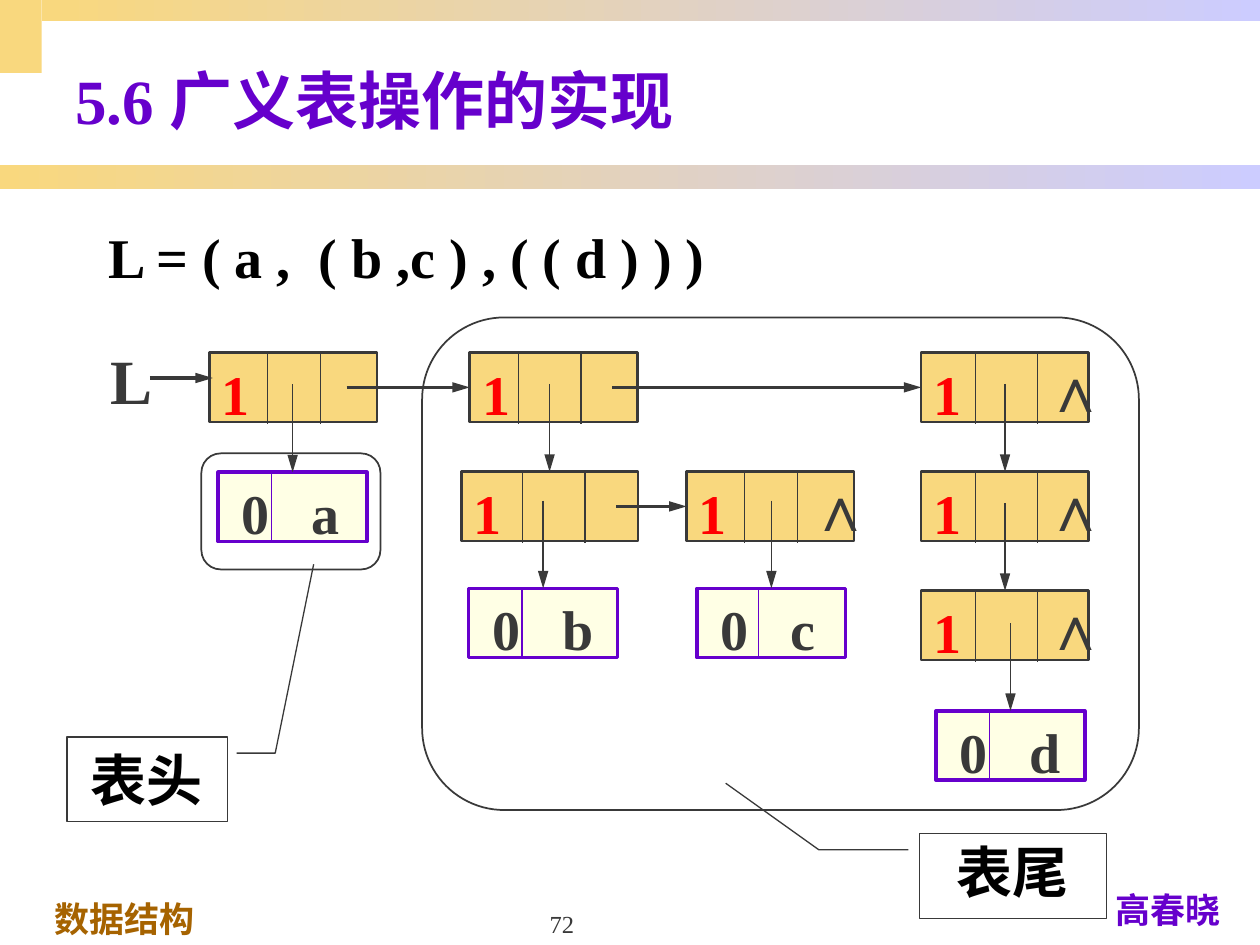
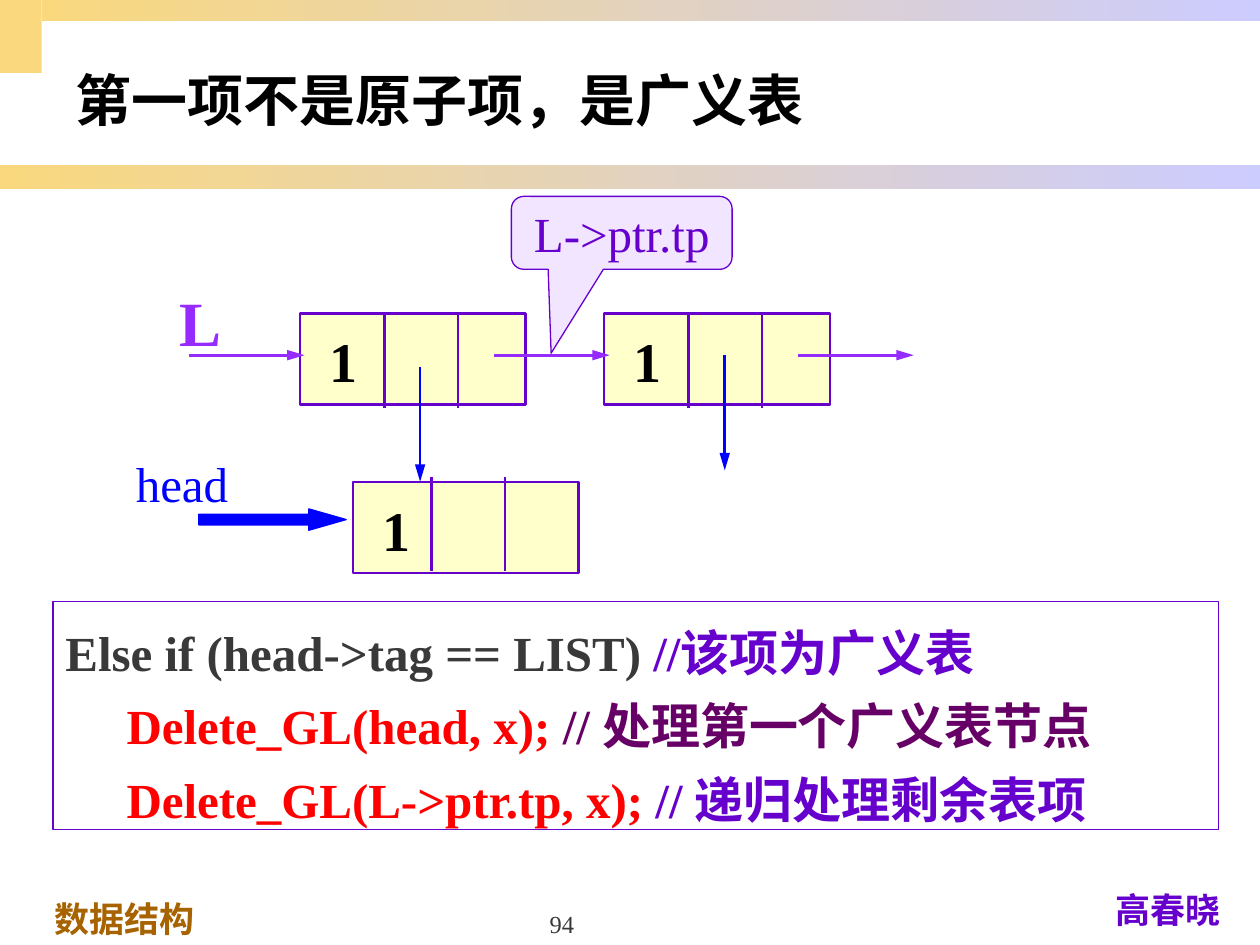
from lxml.etree import SubElement
from pptx import Presentation
from pptx.dml.color import RGBColor
from pptx.enum.shapes import MSO_CONNECTOR, MSO_SHAPE
from pptx.enum.text import MSO_ANCHOR, MSO_AUTO_SIZE, PP_ALIGN
from pptx.oxml.ns import qn
from pptx.util import Cm, Pt

FONT = "Times New Roman"
GOLD = RGBColor(0xF9, 0xD8, 0x7E)
LAVENDER = RGBColor(0xCC, 0xCC, 0xFF)
LILAC = RGBColor(0xE6, 0xCD, 0xFF)
CREAM = RGBColor(0xFF, 0xFF, 0xCC)
BROWN = RGBColor(0xA6, 0x63, 0x00)
PURPLE = RGBColor(0x66, 0x00, 0xCC)
VIOLET = RGBColor(0x95, 0x2B, 0xFF)
PLUM = RGBColor(0x66, 0x00, 0x66)
DARK = RGBColor(0x39, 0x39, 0x39)
BLACK = RGBColor(0, 0, 0)
RED = RGBColor(0xFF, 0, 0)
BLUE = RGBColor(0, 0, 0xFF)

NODE_HEIGHT = 1.4
ATOM_WIDTH = 3.0


def format_runs(paragraph, size, color, bold):
    for run in paragraph.runs:
        run.font.name = FONT
        run.font.size = Pt(size)
        run.font.bold = bold
        run.font.color.rgb = color


def write(shape, text, size, color, bold=False, align=PP_ALIGN.LEFT,
          anchor=MSO_ANCHOR.TOP, wrap=True, left=0.25, top=0.13, tab=None):
    frame = shape.text_frame
    frame.text = text
    frame.word_wrap = wrap
    frame.vertical_anchor = anchor
    frame.margin_left = Cm(left)
    frame.margin_top = Cm(top)
    paragraph = frame.paragraphs[0]
    paragraph.alignment = align
    if tab:
        tabs = SubElement(paragraph._p.get_or_add_pPr(), qn("a:tabLst"))
        SubElement(tabs, qn("a:tab"), pos=str(Cm(tab)), algn="l")
    format_runs(paragraph, size, color, bold)
    return paragraph


def add_label(slide, box, text, size, color, **options):
    label = slide.shapes.add_textbox(*map(Cm, box))
    write(label, text, size, color, **options)
    if not options.get("wrap", True):
        label.text_frame.auto_size = MSO_AUTO_SIZE.SHAPE_TO_FIT_TEXT


def add_block(slide, kind, box, fill=None, line=None, width=0.75, opacity=None):
    shape = slide.shapes.add_shape(kind, *map(Cm, box))
    shape.shadow.inherit = False
    if fill is None:
        shape.fill.background()
    else:
        shape.fill.solid()
        shape.fill.fore_color.rgb = fill
        if opacity:
            color = shape._element.spPr.find(qn("a:solidFill"))[0]
            SubElement(color, qn("a:alpha"), val=str(opacity * 1000))
    if line is None:
        shape.line.fill.background()
    else:
        shape.line.color.rgb = line
        shape.line.width = Pt(width)
    return shape


def set_adjustments(shape, values):
    for index, value in enumerate(values):
        shape.adjustments[index] = value


def add_line(slide, start, end, color, width=0.75, arrow=False):
    connector = slide.shapes.add_connector(
        MSO_CONNECTOR.STRAIGHT, *map(Cm, (*start, *end)))
    connector.line.color.rgb = color
    connector.line.width = Pt(width)
    if arrow:
        SubElement(connector.get_or_add_ln(), qn("a:tailEnd"),
                   type="triangle", w="med", len="lg")
    SubElement(connector._element.spPr, qn("a:effectLst"))
    return connector


def add_band(slide, box):
    band = add_block(slide, MSO_SHAPE.RECTANGLE, box)
    band.fill.gradient()
    band.fill.gradient_angle = 0
    for position, (stop, color) in enumerate(
            zip(band.fill.gradient_stops, (GOLD, LAVENDER))):
        stop.color.rgb = color
        stop.position = position


def add_base_slide(presentation, title, title_size, title_color, number):
    """Add a slide with the shared bands, title and footers."""
    slide = presentation.slides.add_slide(presentation.slide_layouts[6])
    add_block(slide, MSO_SHAPE.RECTANGLE, (0, 0, 0.84, 1.47), GOLD)
    add_band(slide, (0, 3.33, 25.4, 0.48))
    add_band(slide, (0.84, 0, 24.56, 0.43))
    add_label(slide, (0.84, 17.96, 8.89, 1.09), "数据结构", 20, BROWN, bold=True)
    add_label(slide, (21.89, 17.78, 3.3, 1.09), "高春晓", 20, PURPLE,
              bold=True, align=PP_ALIGN.CENTER)
    add_label(slide, (8.69, 17.78, 5.28, 1.27), number, 14, DARK,
              align=PP_ALIGN.CENTER, anchor=MSO_ANCHOR.BOTTOM)
    add_label(slide, (1.27, 0.64, 24.13, 2.72), title, title_size, title_color,
              bold=True, anchor=MSO_ANCHOR.MIDDLE)
    return slide


def add_list_node(slide, left, top, dividers, width=3.38, nil=False):
    node = add_block(slide, MSO_SHAPE.RECTANGLE, (left, top, width, NODE_HEIGHT),
                     GOLD, DARK, 1.5)
    write(node, "1", 32, RED, bold=True)
    for offset in dividers:
        add_line(slide, (left + offset, top), (left + offset, top + 1.43), DARK)
    if nil:
        add_label(slide, (left + 2.23, top - 0.2, 1.27, 1.78), "∧", 36, DARK,
                  align=PP_ALIGN.RIGHT, wrap=False)
    return node


def add_atom(slide, left, top, letter, divider=1.07):
    atom = add_block(slide, MSO_SHAPE.RECTANGLE, (left, top, ATOM_WIDTH, NODE_HEIGHT),
                     CREAM, PURPLE, 2, opacity=50)
    write(atom, f"0\t{letter}", 32, DARK, bold=True, left=0.47, tab=1.42)
    add_line(slide, (left + divider, top), (left + divider, top + NODE_HEIGHT), PURPLE)
    return atom


def add_pointer_down(slide, target, length=1.77):
    """Draw an arrow that ends on the middle of the target's top side."""
    center = (target.left + target.width / 2) / Cm(1)
    end = target.top / Cm(1)
    arrow = add_line(slide, (center, end - length), (center, end), DARK, arrow=True)
    arrow.end_connect(target, 0)


def add_pointer_right(slide, start, target):
    """Draw an arrow that ends on the middle of the target's left side."""
    middle = (target.top + target.height / 2) / Cm(1)
    arrow = add_line(slide, (start, middle), (target.left / Cm(1), middle),
                     DARK, 1.75, arrow=True)
    arrow.end_connect(target, 1)


def add_callout(slide, box, text, adjustments, line_spacing=1.0):
    callout = add_block(slide, MSO_SHAPE.LINE_CALLOUT_2, box, line=DARK)
    set_adjustments(callout, adjustments)
    paragraph = write(callout, text, 32, BLACK, bold=True,
                      align=PP_ALIGN.CENTER, anchor=MSO_ANCHOR.MIDDLE)
    paragraph.line_spacing = line_spacing


def draw_linked_list(slide, left, top):
    """Draw the nodes and atoms of L; left and top place its first node."""
    second, third = left + 5.25, left + 14.35
    rows = [top + 2.4 * row for row in range(3)]
    narrow, last = (1.17, 2.24), (1.09, 2.34)

    add_list_node(slide, left, top, narrow)
    second_node = add_list_node(slide, second, top, (0.99, 2.24))
    third_nodes = [add_list_node(slide, third, row, last, nil=True) for row in rows]
    b_node = add_list_node(slide, second - 0.17, rows[1], (1.24, 2.49), width=3.56)
    c_node = add_list_node(slide, left + 9.62, rows[1], narrow, nil=True)

    add_line(slide, (left - 1.2, top + 0.51), (left + 0.07, top + 0.51),
             DARK, 1.75, arrow=True)
    add_label(slide, (left - 2.24, top - 0.35, 1.35, 1.78), "L", 36, DARK,
              bold=True, align=PP_ALIGN.RIGHT, wrap=False)
    add_pointer_right(slide, left + 2.77, second_node)
    add_pointer_right(slide, left + 8.12, third_nodes[0])
    add_pointer_right(slide, left + 8.2, c_node)

    atoms = [
        add_atom(slide, left + 0.18, top + 2.41, "a"),
        add_atom(slide, second - 0.02, top + 4.75, "b"),
        add_atom(slide, left + 9.83, top + 4.75, "c", divider=1.24),
        add_atom(slide, third + 0.3, top + 7.22, "d"),
    ]
    for target in [b_node, *third_nodes[1:], *atoms]:
        add_pointer_down(slide, target)


def build_head_and_tail(presentation):
    slide = add_base_slide(presentation, "5.6 广义表操作的实现", 36, PURPLE, "72")
    draw_linked_list(slide, 4.22, 7.11)
    add_label(slide, (1.93, 4.19, 12.6, 1.96), "L = ( a ,\t( b ,c ) , ( ( d ) ) )",
              32, BLACK, bold=True, wrap=False, top=0.3, tab=4.25)
    for box in ((8.51, 6.4, 14.45, 9.93), (4.06, 9.14, 3.61, 2.34)):
        add_block(slide, MSO_SHAPE.FLOWCHART_ALTERNATE_PROCESS, box, line=DARK, width=1)
    add_callout(slide, (1.35, 14.86, 3.23, 1.7), "表头",
                (0.19, 1.06, 0.19, 1.3, -2.05, 1.54))
    add_callout(slide, (18.54, 16.81, 3.76, 1.7), "表尾",
                (0.19, -0.06, 0.19, -0.54, -0.6, -1.04), line_spacing=0.85)


def add_cream_node(slide, left, top, first_divider=1.7, divider_rise=0):
    node = add_block(slide, MSO_SHAPE.RECTANGLE, (left, top, 4.55, 1.83),
                     CREAM, PURPLE, 1.5)
    write(node, "1", 32, BLACK, bold=True, left=0.6, top=0.26)
    start = top - divider_rise
    for offset in (first_divider, first_divider + 1.48):
        add_line(slide, (left + offset, start), (left + offset, start + 1.9), PURPLE, 1.5)


def draw_recursion(slide, left, top):
    """Draw the two upper nodes and the head node below the first."""
    second = left + 6.13
    for node_left in (left, second):
        add_cream_node(slide, node_left, top)
    add_cream_node(slide, left + 1.07, top + 3.4, first_divider=1.58, divider_rise=0.1)
    for start in (left - 2.24, left + 3.91, second + 3.91):
        add_line(slide, (start, top + 0.84), (start + 2.33, top + 0.84),
                 VIOLET, 1.75, arrow=True)
    for column, start in ((left + 2.42, top + 1.07), (second + 2.43, top + 0.84)):
        add_line(slide, (column, start), (column, start + 2.32), BLUE, 1.5, arrow=True)
    add_label(slide, (left - 2.69, top - 0.73, 1.35, 1.78), "L", 36, VIOLET,
              bold=True, align=PP_ALIGN.RIGHT, wrap=False)
    head_arrow = add_block(slide, MSO_SHAPE.RIGHT_ARROW,
                           (left - 2.04, top + 3.94, 2.97, 0.43), BLUE, BLUE)
    set_adjustments(head_arrow, (0.5, 1.75))
    add_label(slide, (left - 4, top + 2.7, 2.8, 1.45), "head", 28, BLUE,
              align=PP_ALIGN.RIGHT)
    callout = add_block(slide, MSO_SHAPE.ROUNDED_RECTANGULAR_CALLOUT,
                        (left + 4.26, top - 2.36, 4.45, 1.47), LILAC, PURPLE, opacity=50)
    set_adjustments(callout, (-0.32, 1.65, 0.17))
    write(callout, "L->ptr.tp", 28, PURPLE, align=PP_ALIGN.CENTER,
          anchor=MSO_ANCHOR.MIDDLE, wrap=False)


def add_code(slide, box):
    lines = [
        ("Else if (head->tag == LIST) ", DARK, "//该项为广义表", PURPLE),
        ("     Delete_GL(head, x); ", RED, "// 处理第一个广义表节点", PLUM),
        ("     Delete_GL(L->ptr.tp, x); ", RED, "// 递归处理剩余表项", PURPLE),
    ]
    panel = add_block(slide, MSO_SHAPE.RECTANGLE, box, line=PURPLE)
    write(panel, "\n".join(line[0] for line in lines), 28, DARK)
    for paragraph, (_, code_color, comment, comment_color) in zip(
            panel.text_frame.paragraphs, lines):
        paragraph.alignment = PP_ALIGN.LEFT
        paragraph.line_spacing = 1.25
        paragraph.add_run().text = comment
        format_runs(paragraph, 28, code_color, True)
        paragraph.runs[-1].font.color.rgb = comment_color


def build_recursion(presentation):
    slide = add_base_slide(presentation, "第一项不是原子项，是广义表", 32, BLACK, "94")
    add_code(slide, (1.07, 12.12, 23.5, 4.6))
    draw_recursion(slide, 6.05, 6.32)


def main():
    presentation = Presentation()
    presentation.slide_width = Cm(25.4)
    presentation.slide_height = Cm(19.05)
    build_head_and_tail(presentation)
    build_recursion(presentation)
    presentation.save("out.pptx")


if __name__ == "__main__":
    main()
